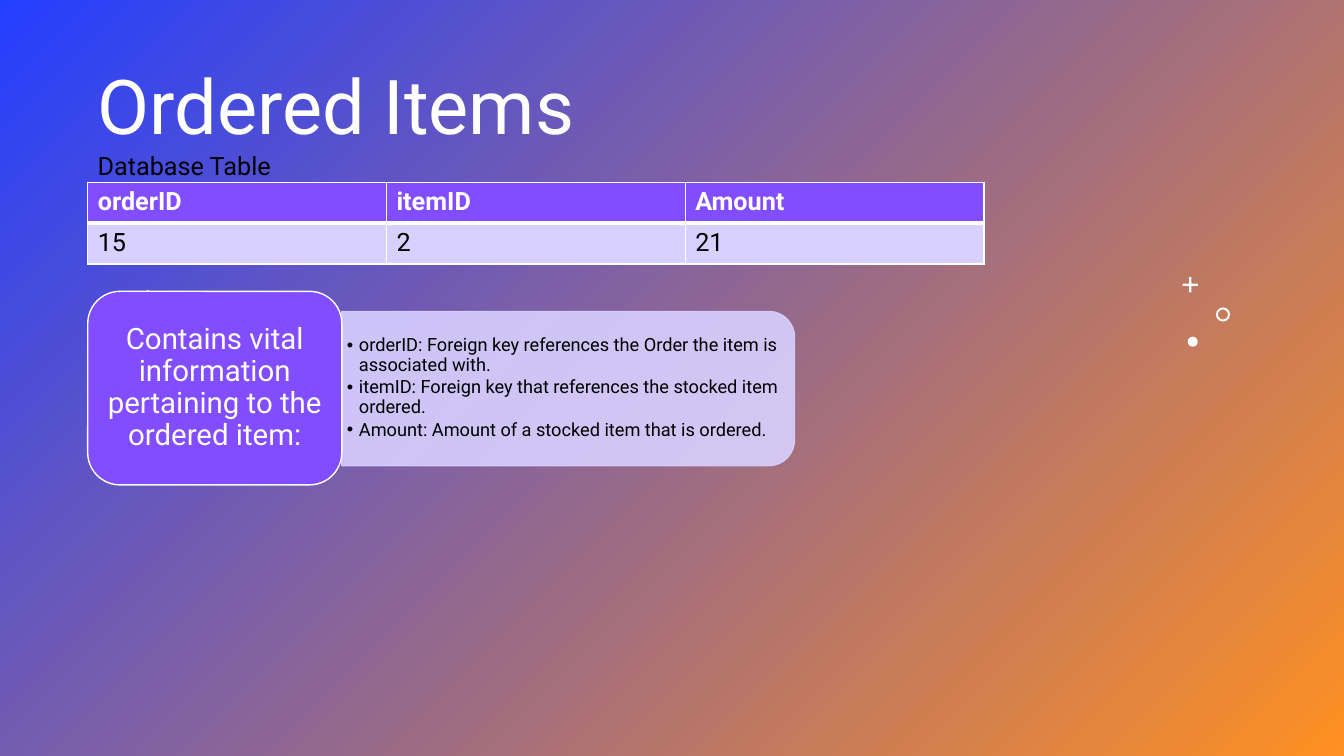
from lxml import etree
from pptx import Presentation
from pptx.dml.color import RGBColor
from pptx.enum.shapes import MSO_SHAPE
from pptx.enum.text import MSO_ANCHOR, MSO_AUTO_SIZE, PP_ALIGN
from pptx.oxml.ns import qn
from pptx.util import Inches, Pt

WHITE = RGBColor(0xFF, 0xFF, 0xFF)
BLACK = RGBColor(0, 0, 0)
BLUE = RGBColor(0x24, 0x3F, 0xFF)
ORANGE = RGBColor(0xFF, 0x90, 0x22)
PURPLE = RGBColor(0x81, 0x4D, 0xFF)
LILAC = RGBColor(0xD8, 0xD0, 0xFF)

OVAL, RING, CROSS = MSO_SHAPE.OVAL, MSO_SHAPE.DONUT, MSO_SHAPE.CROSS
ROUNDED, ROUNDED_TOP = MSO_SHAPE.ROUNDED_RECTANGLE, MSO_SHAPE.ROUND_2_SAME_RECTANGLE
LEFT, CENTER = PP_ALIGN.LEFT, PP_ALIGN.CENTER
TOP, MIDDLE = MSO_ANCHOR.TOP, MSO_ANCHOR.MIDDLE
NO_FIT = MSO_AUTO_SIZE.NONE

FIELD_NOTES = [
    "orderID: Foreign key references the Order the item is associated with.",
    "itemID: Foreign key that references the stocked item ordered.",
    "Amount: Amount of a stocked item that is ordered.",
]
ORDER_ROWS = [["orderID", "itemID", "Amount"], ["15", "2", "21"]]


class SlideBuilder:
    font = "Roboto"

    def __init__(self, prs):
        layout = prs.slide_layouts.get_by_name("Title and Content")
        self.slide = prs.slides.add_slide(layout)
        self.shapes = self.slide.shapes

    def background(self, start, end):
        fill = self.slide.background.fill
        fill.gradient()
        fill.gradient_angle = 315
        for stop, position, color in zip(fill.gradient_stops, (0, 1), (start, end)):
            stop.position = position
            stop.color.rgb = color

    def place(self, sp, left, top, width, height):
        sp.left, sp.top = Inches(left), Inches(top)
        sp.width, sp.height = Inches(width), Inches(height)

    def set_text(self, tf, text, size, color, align=LEFT, anchor=TOP,
                 margins=(0.1, 0.05), spacing=1.0, after=0, bold=False):
        tf.text = text
        tf.word_wrap = True
        tf.auto_size = NO_FIT
        tf.vertical_anchor = anchor
        tf.margin_left = tf.margin_right = Inches(margins[0])
        tf.margin_top = tf.margin_bottom = Inches(margins[1])
        for p in tf.paragraphs:
            p.alignment = align
            p.line_spacing = spacing
            p.space_before, p.space_after = Pt(0), Pt(after)
            for r in p.runs:
                r.font.name, r.font.size = self.font, Pt(size)
                r.font.bold, r.font.color.rgb = bold, color

    def title(self, text, box):
        sp = self.shapes.title
        self.place(sp, *box)
        self.set_text(sp.text_frame, text, 54, WHITE)

    def label(self, text, box):
        sp = self.shapes.add_textbox(*map(Inches, box))
        self.set_text(sp.text_frame, text, 18, BLACK)

    def shape(self, kind, box, fill, line=None, adjust=None):
        sp = self.shapes.add_shape(kind, *map(Inches, box))
        sp.shadow.inherit = False
        sp.fill.solid()
        sp.fill.fore_color.rgb = fill
        if line is None:
            sp.line.fill.background()
        else:
            sp.line.color.rgb = line
            sp.line.width = Pt(1)
        if adjust is not None:
            sp.adjustments[0] = adjust
        return sp

    def panel(self, box):
        """Draw the turned, slightly transparent panel behind the list."""
        sp = self.shape(ROUNDED_TOP, box, LILAC, LILAC)
        sp.rotation = 90
        for color in sp._element.spPr.iter(qn("a:srgbClr")):
            etree.SubElement(color, qn("a:alpha"), val="90000")

    def bullets(self, items, box):
        """Fill the body placeholder and raise it above the panel."""
        sp = self.slide.placeholders[1]
        self.place(sp, *box)
        self.set_text(sp.text_frame, "\n".join(items), 13, BLACK, anchor=MIDDLE,
                      margins=(0.05, 0.03), spacing=0.9, after=2)
        for p in sp.text_frame.paragraphs:
            pPr = p._p.get_or_add_pPr()
            pPr.set("marL", str(Inches(0.12)))
            pPr.set("indent", str(Inches(-0.12)))
            etree.SubElement(pPr, qn("a:buChar"), char="•")
        self.shapes._spTree.append(sp._element)

    def border(self, cell, sides):
        """Draw white cell borders; sides maps L, R, T, B to points."""
        tcPr = cell._tc.get_or_add_tcPr()
        for side, width in sides.items():
            ln = etree.SubElement(tcPr, qn(f"a:ln{side}"), w=str(Pt(width)))
            fill = etree.SubElement(ln, qn("a:solidFill"))
            etree.SubElement(fill, qn("a:srgbClr"), val=str(WHITE))

    def table(self, rows, box):
        frame = self.shapes.add_table(len(rows), len(rows[0]), *map(Inches, box))
        for i, row in enumerate(rows):
            header = i == 0
            for j, text in enumerate(row):
                cell = frame.table.cell(i, j)
                self.set_text(cell.text_frame, text, 18,
                              WHITE if header else BLACK, bold=header)
                self.border(cell, {"L": 1, "R": 1, "T": 1 if header else 3,
                                   "B": 3 if header else 1})
                cell.fill.solid()
                cell.fill.fore_color.rgb = PURPLE if header else LILAC


def main():
    prs = Presentation()
    prs.slide_width, prs.slide_height = Inches(13.33), Inches(7.5)
    s = SlideBuilder(prs)
    s.background(BLUE, ORANGE)

    s.shape(OVAL, (11.78, 3.34, 0.1, 0.1), WHITE)
    s.shape(RING, (12.06, 3.05, 0.14, 0.14), WHITE, adjust=0.14)
    s.shape(CROSS, (11.73, 2.75, 0.15, 0.15), WHITE, adjust=0.43)
    s.shape(CROSS, (1.38, 2.88, 0.17, 0.17), WHITE, adjust=0.43)

    s.title("Ordered Items", (0.87, 0.53, 7.89, 1.01))
    s.label("Database Table", (0.87, 1.44, 7.89, 0.4))

    s.panel((4.87, 1.61, 1.53, 4.49))
    s.bullets(FIELD_NOTES, (3.39, 3.16, 4.41, 1.38))
    intro = s.shape(ROUNDED, (0.87, 2.89, 2.52, 1.92), PURPLE, WHITE)
    s.set_text(intro.text_frame, "Contains vital information pertaining to the ordered item:",
               21, WHITE, CENTER, MIDDLE, (0.09, 0.04), 0.9)

    s.table(ORDER_ROWS, (0.87, 1.81, 8.89, 0.81))
    prs.save("out.pptx")


if __name__ == "__main__":
    main()
